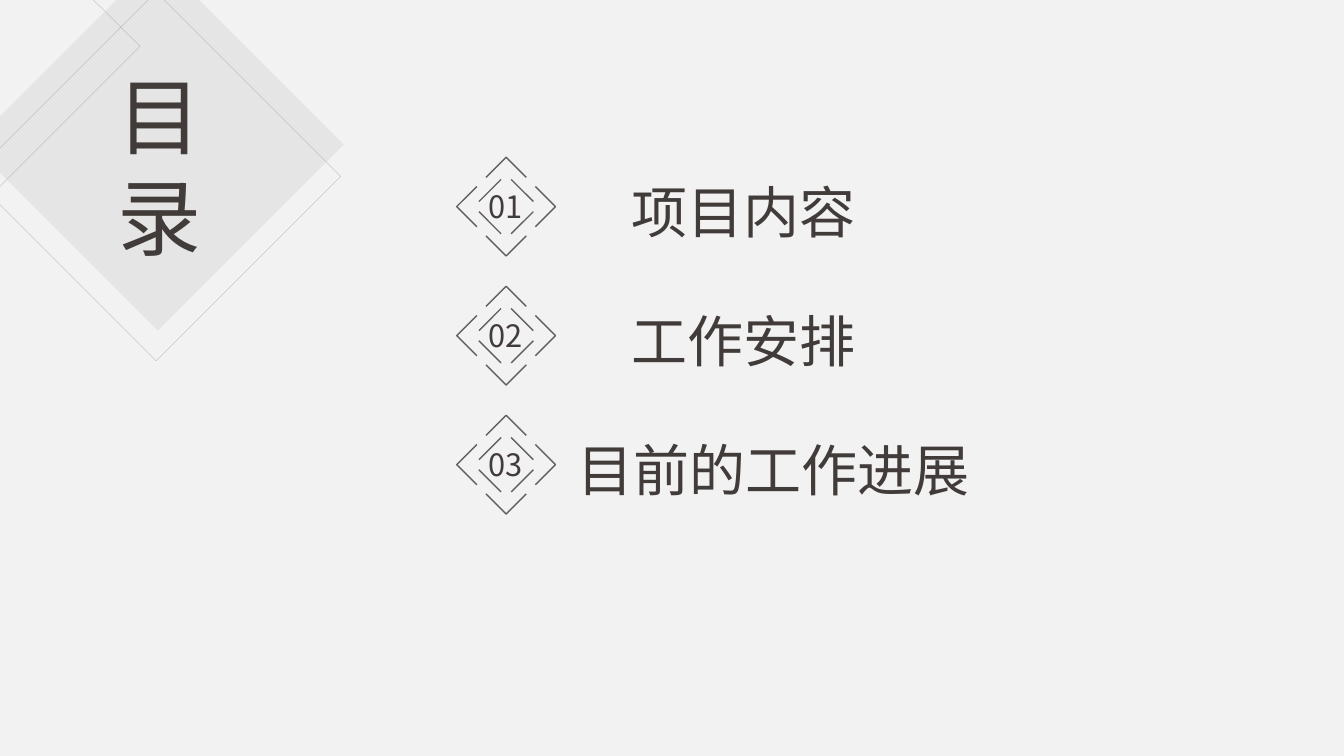
from pptx import Presentation
from pptx.dml.color import RGBColor
from pptx.enum.shapes import MSO_CONNECTOR, MSO_SHAPE
from pptx.enum.text import PP_ALIGN
from pptx.oxml.ns import qn
from pptx.util import Inches, Pt
from lxml import etree

DIAMOND = MSO_SHAPE.DIAMOND
STRAIGHT = MSO_CONNECTOR.STRAIGHT
CENTER = PP_ALIGN.CENTER
FONT = "Noto Sans CJK SC"


def paint(fill, color, alpha=100):
    fill.solid()
    fill.fore_color.rgb = RGBColor.from_string(color)
    if alpha < 100:
        clr = fill._xPr.find(qn("a:solidFill"))[0]
        etree.SubElement(clr, qn("a:alpha"), val=str(alpha * 1000))


def add_text(shapes, text, size, x, y, w, h):
    tf = shapes.add_textbox(Inches(x), Inches(y), Inches(w), Inches(h)).text_frame
    tf.word_wrap = True
    p = tf.paragraphs[0]
    p.alignment = CENTER
    r = p.add_run()
    r.text = text
    r.font.size = Pt(size)
    r.font.name = FONT
    paint(r.font.fill, "413B39")
    etree.SubElement(r.font._element, qn("a:ea"), typeface=FONT)


prs = Presentation()
prs.slide_width, prs.slide_height = Inches(13.33), Inches(7.5)
s = prs.slides.add_slide(prs.slide_layouts[6])
paint(s.background.fill, "F2F2F2")

backdrop = s.shapes.add_shape(DIAMOND, Inches(-0.28), Inches(-0.41), Inches(3.69), Inches(3.69))
paint(backdrop.fill, "A6A6A6", 16)
backdrop.line.fill.background()
backdrop.shadow.inherit = False

fb = s.shapes.build_freeform(Inches(-0.02), Inches(-0.94))
fb.add_line_segments([(Inches(1.39), Inches(0.46)), (Inches(-0.02), Inches(1.87))], close=True)
corner = fb.convert_to_shape()
frame = s.shapes.add_shape(DIAMOND, Inches(-0.28), Inches(-0.08), Inches(3.66), Inches(3.66))
for sp in (corner, frame):
    sp.fill.background()
    paint(sp.line.fill, "808080", 48)
    sp.line.width = Pt(0.25)
    sp.shadow.inherit = False

cx, top, pitch = 5.02, 2.05, 1.28
tip, base, wing = 0.49, 0.29, 0.2
near, far = 0.05, 0.27
topics = [("项目内容", 3.77), ("工作安排", 3.77), ("目前的工作进展", 4.37)]

for i, (topic, width) in enumerate(topics):
    cy = top + i * pitch
    badge = s.shapes.add_group_shape().shapes
    for dx, dy in ((0, -1), (-1, 0), (1, 0), (0, 1)):
        points = [(Inches(cx + a * dx - b * dy), Inches(cy + a * dy + b * dx))
                  for a, b in ((base, -wing), (tip, 0), (base, wing))]
        fb = badge.build_freeform(*points[0])
        fb.add_line_segments(points[1:], close=False)
        chevron = fb.convert_to_shape()
        chevron.fill.background()
        paint(chevron.line.fill, "616161")
        chevron.line.width = Pt(1)
        chevron.shadow.inherit = False
    for sx, sy in ((-1, -1), (1, -1), (-1, 1), (1, 1)):
        side = badge.add_connector(STRAIGHT, Inches(cx + sx * near), Inches(cy + sy * far),
                                   Inches(cx + sx * far), Inches(cy + sy * near))
        paint(side.line.fill, "616161")
        side.line.width = Pt(1)
        etree.SubElement(side._element.spPr, qn("a:effectLst"))
    add_text(badge, f"{i + 1:02d}", 22, cx - 0.38, cy - 0.24, 0.75, 0.47)
    add_text(s.shapes, topic, 40, 5.49, cy - 0.34, width, 0.77)

add_text(s.shapes, "目录", 60, 0.98, 0.59, 1.21, 2.12)

prs.save("out.pptx")
